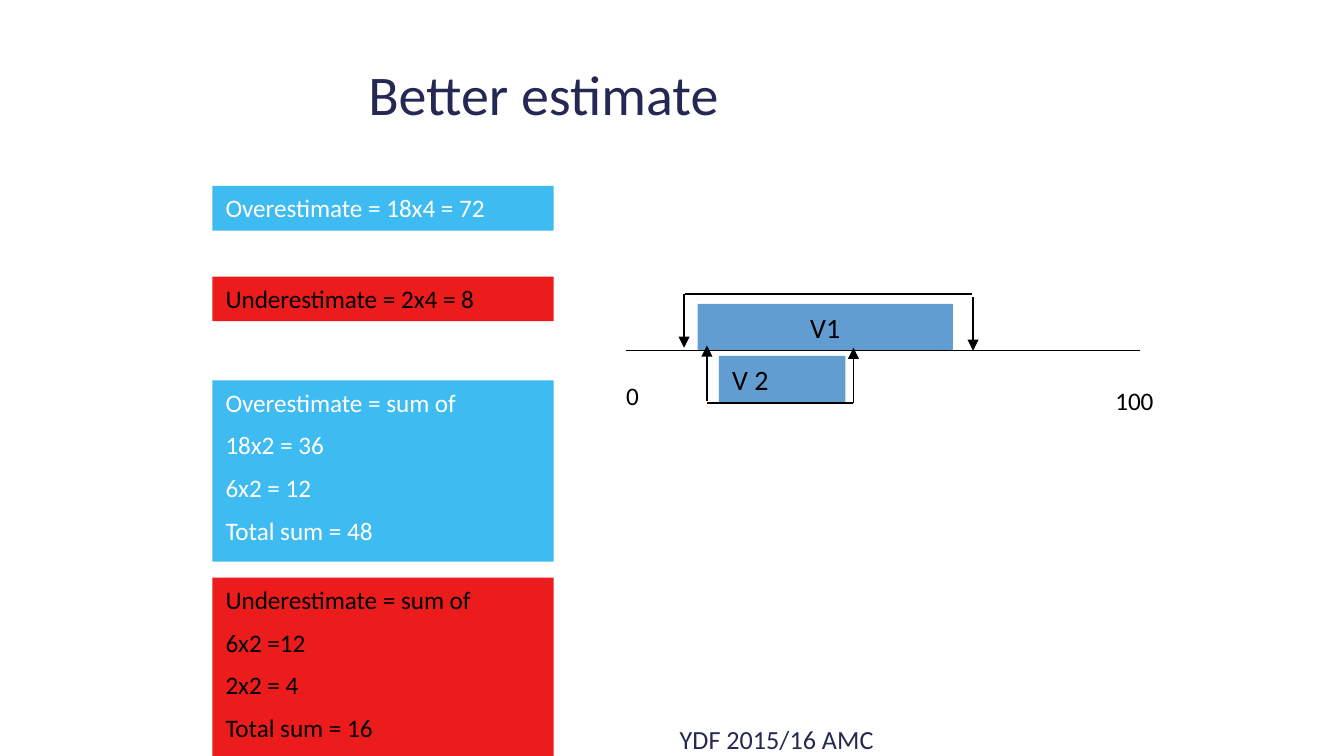
from dataclasses import dataclass

from lxml.etree import SubElement
from pptx import Presentation
from pptx.dml.color import RGBColor
from pptx.enum.shapes import MSO_CONNECTOR, MSO_SHAPE
from pptx.enum.text import MSO_ANCHOR, PP_ALIGN
from pptx.oxml.ns import qn
from pptx.util import Inches, Pt

# A 16:9 slide
SLIDE_WIDTH = Inches(10)
SLIDE_HEIGHT = SLIDE_WIDTH * 9 // 16


@dataclass(frozen=True)
class Theme:
    font: str = "Calibri"
    navy: str = "242852"
    black: str = "000000"
    white: str = "FFFFFF"
    over: str = "3EBBF0"
    under: str = "EC1C1C"
    variable: str = "629DD1"
    title_size: float = 30
    variable_size: float = 15
    footer_size: float = 14
    body_size: float = 13.5
    line_width: float = 0.75


THEME = Theme()


def across(share):
    """Turn a percentage of the slide's width into a length."""
    return round(SLIDE_WIDTH * share / 100)


def down(share):
    """Turn a percentage of the slide's height into a length."""
    return round(SLIDE_HEIGHT * share / 100)


def place(left, top, width, height):
    return across(left), down(top), across(width), down(height)


def write(shape, lines, size=THEME.body_size, color=THEME.black,
          align=PP_ALIGN.LEFT, anchor=MSO_ANCHOR.TOP):
    frame = shape.text_frame
    frame.word_wrap = True
    frame.vertical_anchor = anchor
    frame.text = "\n".join(lines)
    for index, paragraph in enumerate(frame.paragraphs):
        paragraph.alignment = align
        paragraph.space_before = Pt(size / 2 if index else 0)
        paragraph.font.name = THEME.font
        paragraph.font.size = Pt(size)
        paragraph.font.color.rgb = RGBColor.from_string(color)


def add_label(slide, box, text, **text_format):
    write(slide.shapes.add_textbox(*place(*box)), [text], **text_format)


def add_block(slide, box, lines, fill, **text_format):
    shape = slide.shapes.add_shape(MSO_SHAPE.RECTANGLE, *place(*box))
    shape.shadow.inherit = False
    shape.fill.solid()
    shape.fill.fore_color.rgb = RGBColor.from_string(fill)
    shape.line.fill.background()
    write(shape, lines, **text_format)


def add_line(slide, start, end, arrow=False):
    connector = slide.shapes.add_connector(
        MSO_CONNECTOR.STRAIGHT, across(start[0]), down(start[1]),
        across(end[0]), down(end[1]))
    connector.line.color.rgb = RGBColor.from_string(THEME.black)
    connector.line.width = Pt(THEME.line_width)
    properties = connector.element.spPr
    if arrow:
        SubElement(properties.find(qn("a:ln")), qn("a:tailEnd"), type="triangle")
    SubElement(properties, qn("a:effectLst"))


def add_title(slide):
    title = slide.shapes.title
    title.left, title.top, title.width, title.height = place(26.4, 4, 57.4, 16.7)
    write(title, ["Better estimate"], size=THEME.title_size, color=THEME.navy,
          anchor=MSO_ANCHOR.MIDDLE)


def add_estimates(slide):
    over = (THEME.over, THEME.white)
    under = (THEME.under, THEME.black)
    single, multiple = 5.9, 24
    estimates = [
        (24.6, single, over, ["Overestimate = 18x4 = 72"]),
        (36.6, single, under, ["Underestimate = 2x4 = 8"]),
        (50.3, multiple, over,
         ["Overestimate = sum of", "18x2 = 36", "6x2 = 12", "Total sum = 48"]),
        (76.4, multiple, under,
         ["Underestimate = sum of", "6x2 =12", "2x2 = 4", "Total sum = 16"]),
    ]
    for top, height, (fill, color), lines in estimates:
        add_block(slide, (15.8, top, 25.4, height), lines, fill, color=color)


def add_number_line(slide):
    axis, bracket_top, bracket_bottom = 46.4, 38.9, 53.3

    # Variables above and below the axis
    add_block(slide, (51.9, 40.2, 19, 6.2), ["V1"], THEME.variable,
              size=THEME.variable_size, align=PP_ALIGN.CENTER)
    add_block(slide, (53.5, 47.1, 9.4, 6.2), ["V 2"], THEME.variable,
              size=THEME.variable_size)

    # Axis and its end values
    add_line(slide, (46.6, axis), (84.8, axis))
    add_label(slide, (45.6, 49.4, 2.8, 5.9), "0")
    add_label(slide, (82, 50.1, 5.5, 5.9), "100")

    # Bracket around V1, pointing down
    add_line(slide, (50.9, bracket_top), (50.9, 46), arrow=True)
    add_line(slide, (72.4, 39.3), (72.4, axis), arrow=True)
    add_line(slide, (51, bracket_top), (72.3, bracket_top))

    # Bracket around V 2, pointing up
    add_line(slide, (63.5, bracket_bottom), (63.5, 46), arrow=True)
    add_line(slide, (52.6, 53), (52.6, 45.7), arrow=True)
    add_line(slide, (63.5, bracket_bottom), (52.6, bracket_bottom))


def main():
    presentation = Presentation()
    presentation.slide_width = SLIDE_WIDTH
    presentation.slide_height = SLIDE_HEIGHT
    slide = presentation.slides.add_slide(presentation.slide_layouts[5])

    add_title(slide)
    add_estimates(slide)
    add_number_line(slide)

    # Footer
    add_label(slide, (6.7, 95.1, 59.3, 5.3), "YDF 2015/16 AMC",
              size=THEME.footer_size, color=THEME.navy,
              align=PP_ALIGN.RIGHT, anchor=MSO_ANCHOR.MIDDLE)

    presentation.save("out.pptx")


if __name__ == "__main__":
    main()
